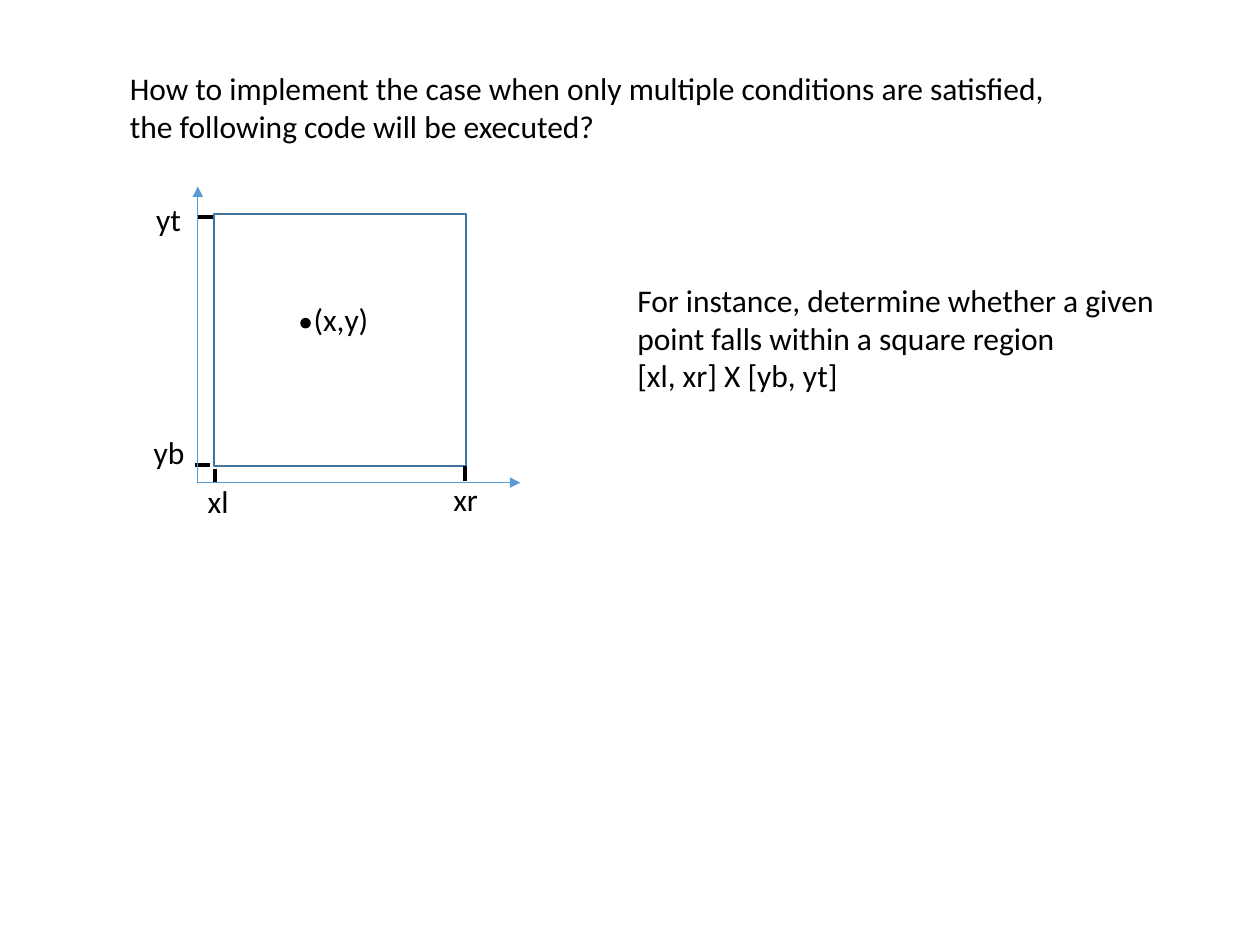
"""Builds a slide on testing whether a point falls within a square region."""
from dataclasses import dataclass

from lxml import etree
from pptx import Presentation
from pptx.dml.color import RGBColor as RGB
from pptx.enum.shapes import MSO_CONNECTOR as CONN, MSO_SHAPE as SHAPE
from pptx.enum.text import MSO_ANCHOR as ANCHOR, MSO_AUTO_SIZE as FIT, PP_ALIGN as ALIGN
from pptx.oxml.ns import qn
from pptx.util import Inches, Pt


@dataclass(frozen=True)
class Theme:
    font: str = "Calibri"
    size: Pt = Pt(18)
    ink: RGB = RGB(0x00, 0x00, 0x00)
    paper: RGB = RGB(0xFF, 0xFF, 0xFF)
    border: RGB = RGB(0x43, 0x73, 0x9E)
    axis: RGB = RGB(0x5B, 0x9B, 0xD5)


theme = Theme()


def write(sp, lines, wrap=True):
    tf = sp.text_frame
    tf.word_wrap = wrap
    tf.auto_size = FIT.NONE
    tf.vertical_anchor = ANCHOR.TOP
    for i, line in enumerate(lines):
        p = tf.add_paragraph() if i else tf.paragraphs[0]
        p.alignment = ALIGN.LEFT
        r = p.add_run()
        r.text = line
        r.font.name, r.font.size = theme.font, theme.size
        r.font.color.rgb = theme.ink


def draw_line(s, ends, color, width):
    ln = s.shapes.add_connector(CONN.STRAIGHT, *map(Inches, ends))
    ln.line.color.rgb, ln.line.width = color, Pt(width)
    etree.SubElement(ln._element.spPr, qn("a:effectLst"))
    return ln


prs = Presentation()
prs.slide_width, prs.slide_height = Inches(10), Inches(7.5)
s = prs.slides.add_slide(prs.slide_layouts[5])

title = s.shapes.title
title.left, title.top, title.width, title.height = map(Inches, (0.93, 0.5, 7.79, 0.71))
write(title, ["How to implement the case when only multiple conditions are satisfied, "
              "the following code will be executed?"])

for kind, box, fill, border in [
    (SHAPE.RECTANGLE, (1.7, 1.7, 2, 2), theme.paper, theme.border),
    (SHAPE.OVAL, (2.39, 2.53, 0.07, 0.07), theme.ink, theme.ink),
]:
    sp = s.shapes.add_shape(kind, *map(Inches, box))
    sp.shadow.inherit = False
    sp.fill.solid()
    sp.fill.fore_color.rgb = fill
    sp.line.color.rgb, sp.line.width = border, Pt(1)

example = s.shapes.add_textbox(*map(Inches, (4.96, 2.18, 4.66, 1.01)))
write(example, ["For instance, determine whether a given point falls within a square region",
                "[xl, xr] X [yb, yt]"])

for label, left, top, width in [
    ("xl", 1.55, 3.78, 0.37),
    ("xr", 3.5, 3.76, 0.4),
    ("yb", 1.12, 3.39, 0.45),
    ("yt", 1.14, 1.54, 0.4),
    ("(x,y)", 2.39, 2.33, 0.64),
]:
    sp = s.shapes.add_textbox(*map(Inches, (left, top, width, 0.4)))
    write(sp, [label], wrap=False)

for tick in [
    (1.71, 3.72, 1.71, 3.83),
    (3.69, 3.7, 3.69, 3.82),
    (1.55, 3.69, 1.67, 3.69),
    (1.56, 1.72, 1.69, 1.72),
]:
    draw_line(s, tick, theme.ink, 2.25)

origin = (1.57, 3.83)
for tip in [(4.13, 3.83), (1.57, 1.48)]:
    axis = draw_line(s, origin + tip, theme.axis, 0.5)
    etree.SubElement(axis.line._get_or_add_ln(), qn("a:tailEnd"), type="triangle")

prs.save("out.pptx")
